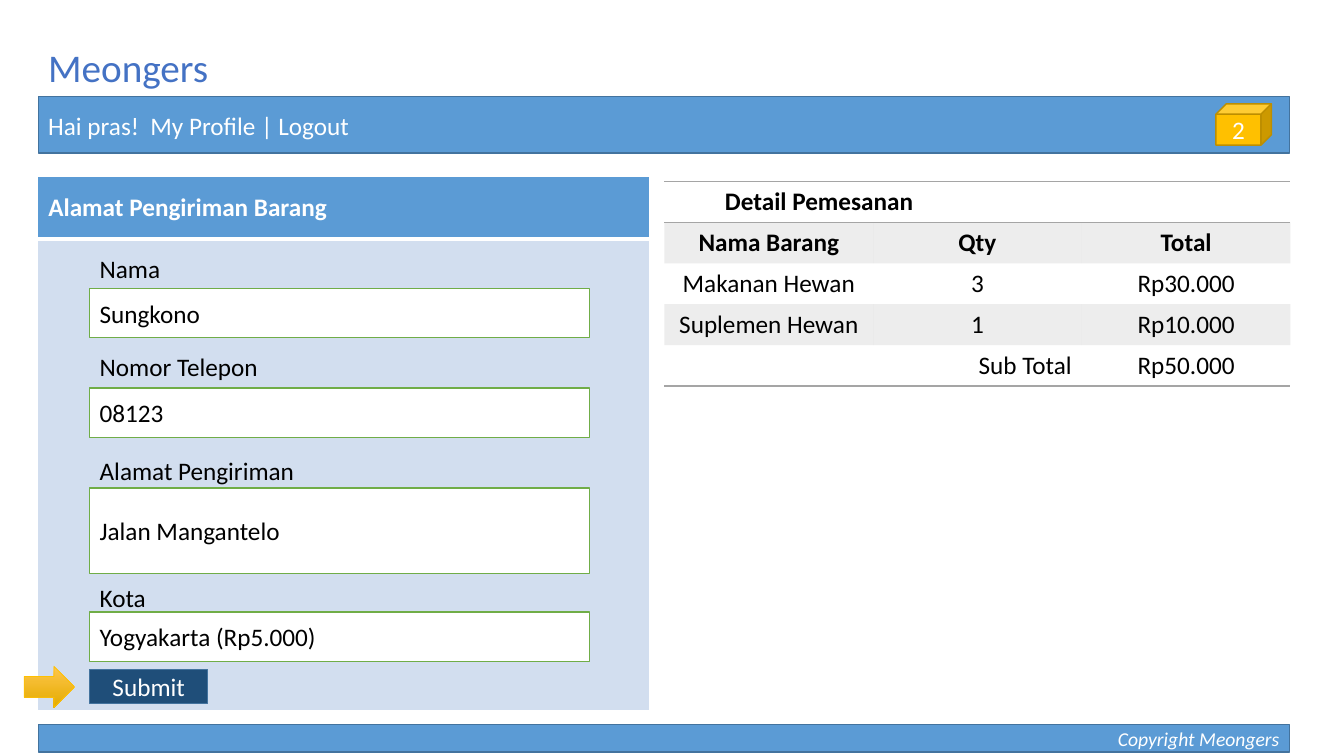
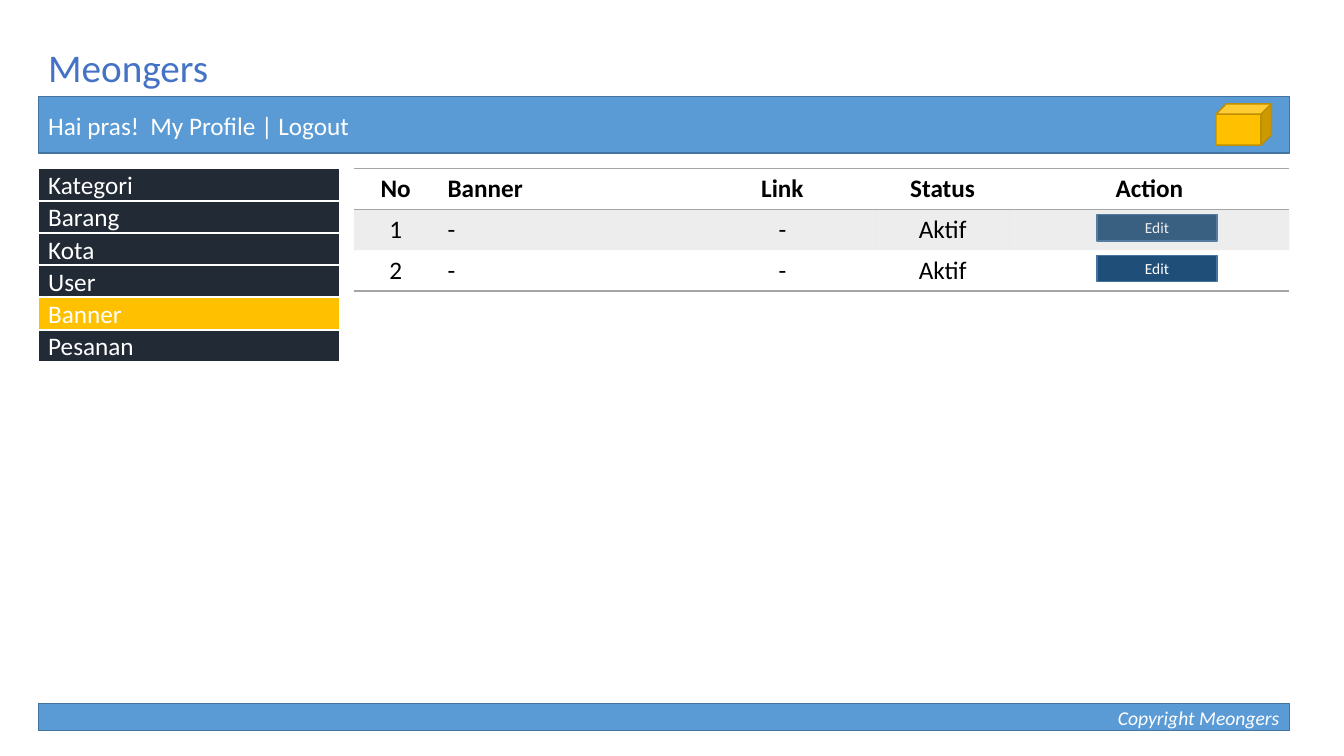
from pptx import Presentation
from pptx.dml.color import RGBColor
from pptx.enum.shapes import MSO_SHAPE
from pptx.enum.text import MSO_ANCHOR, MSO_AUTO_SIZE, PP_ALIGN
from pptx.oxml.ns import qn
from pptx.util import Inches, Pt
from lxml import etree

LEFT, CENTER, RIGHT = PP_ALIGN.LEFT, PP_ALIGN.CENTER, PP_ALIGN.RIGHT
MIDDLE = MSO_ANCHOR.MIDDLE
GROW = MSO_AUTO_SIZE.SHAPE_TO_FIT_TEXT
RECTANGLE, CUBE, ARROW = MSO_SHAPE.RECTANGLE, MSO_SHAPE.CUBE, MSO_SHAPE.RIGHT_ARROW

COLORS = {
    "title": "4472C4", "band": "5B9BD5", "band_line": "43739E",
    "panel": "D2DEEF", "button": "1F4E79", "menu": "222A35",
    "gold": "FFC000", "gold_line": "BD8E00", "gold_light": "FFC64B",
    "gold_dark": "E3AB00", "field_line": "70AD47", "grey": "A5A5A5",
    "white": "FFFFFF", "black": "000000",
}
FONT = "Calibri"
NO_TABLE_STYLE = "{2D5ABB26-0587-4C30-8999-92F81FD0307C}"

SLIDE_WIDTH, SLIDE_HEIGHT = 13.33, 7.5
MARGIN, BAND_WIDTH = 0.38, 12.41
ROW_HEIGHT = 0.406
FIELD_LEFT, FIELD_WIDTH = 0.89, 4.96
MENU_TOP, MENU_HEIGHT = 1.67, 0.32

FIELDS = [  # label, value, label top, box top, box height
    ("Nama", "Sungkono", 2.46, 2.86, 0.49),
    ("Nomor Telepon", "08123", 3.44, 3.85, 0.49),
    ("Alamat Pengiriman", "Jalan Mangantelo", 4.47, 4.84, 0.85),
    ("Kota", "Yogyakarta (Rp5.000)", 5.73, 6.07, 0.49),
]
ORDER_ROWS = [
    ["Detail Pemesanan", "", ""],
    ["Nama Barang", "Qty", "Total"],
    ["Makanan Hewan", "3", "Rp30.000"],
    ["Suplemen Hewan", "1", "Rp10.000"],
    ["", "Sub Total", "Rp50.000"],
]
MENU = ["Kategori", "Barang", "Kota", "User", "Banner", "Pesanan"]
BANNER_ROWS = [
    ["No", "Banner", "Link", "Status", "Action"],
    ["1", "-", "-", "Aktif", ""],
    ["2", "-", "-", "Aktif", ""],
]


def color(name):
    return RGBColor.from_string(COLORS[name])


def box(left, top, width, height):
    return [Inches(length) for length in (left, top, width, height)]


def write(text_frame, text, size=18, ink="black", align=LEFT, bold=False, italic=False):
    paragraph = text_frame.paragraphs[0]
    paragraph.text = text
    paragraph.alignment = align
    font = paragraph.font
    font.name, font.size, font.bold, font.italic = FONT, Pt(size), bold, italic
    font.color.rgb = color(ink)
    return paragraph


def add_box(slide, place, fill, line, text="", line_width=1, kind=RECTANGLE, **style):
    shape = slide.shapes.add_shape(kind, *box(*place))
    shape.shadow.inherit = False
    shape.fill.solid()
    shape.fill.fore_color.rgb = color(fill)
    shape.line.color.rgb = color(line)
    shape.line.width = Pt(line_width)
    shape.text_frame.vertical_anchor = MIDDLE
    if text:
        write(shape.text_frame, text, **{"ink": "white", **style})
    return shape


def add_label(slide, place, text, wrap=True, **style):
    text_frame = slide.shapes.add_textbox(*box(*place)).text_frame
    text_frame.word_wrap = wrap
    text_frame.auto_size = GROW
    write(text_frame, text, **style)


def add_button(slide, place, text, size):
    add_box(slide, place, "button", "band_line", text, size=size, align=CENTER)


def add_plain_table(slide, left, top, columns, rows):
    """Add a table without style; columns and rows are lists of lengths."""
    place = box(left, top, sum(columns), sum(rows))
    table = slide.shapes.add_table(len(rows), len(columns), *place).table
    table.first_row = table.horz_banding = False
    table._tbl.tblPr.find(qn("a:tableStyleId")).text = NO_TABLE_STYLE
    for column, width in zip(table.columns, columns):
        column.width = Inches(width)
    for row, height in zip(table.rows, rows):
        row.height = Inches(height)
    return table


def add_border(cell, side, name, width):
    """Draw one side of a cell (lnT or lnB); call before filling the cell."""
    line = etree.SubElement(cell._tc.get_or_add_tcPr(), qn(f"a:{side}"), w=str(Pt(width)))
    fill = etree.SubElement(line, qn("a:solidFill"))
    etree.SubElement(fill, qn("a:srgbClr"), val=COLORS[name])


def fill_cell(cell, name, opacity=100):
    cell.fill.solid()
    cell.fill.fore_color.rgb = color(name)
    if opacity < 100:
        srgb = cell._tc.tcPr.find(f".//{qn('a:srgbClr')}")
        etree.SubElement(srgb, qn("a:alpha"), val=str(opacity * 1000))


def add_list_table(slide, left, top, columns, rows, header_rows, left_columns=()):
    """Add a ruled table in which every second row is shaded."""
    table = add_plain_table(slide, left, top, columns, [ROW_HEIGHT] * len(rows))
    for i, row in enumerate(rows):
        for j, text in enumerate(row):
            cell = table.cell(i, j)
            if i == 0:
                add_border(cell, "lnT", "grey", 1)
            if i in (0, len(rows) - 1):
                add_border(cell, "lnB", "grey", 1)
            if i % 2:
                fill_cell(cell, "grey", 20)
            else:
                cell.fill.background()
            align = LEFT if j in left_columns else CENTER
            write(cell.text_frame, text, align=align, bold=i < header_rows)
    return table


def add_frame(slide, footer_top, cart_count=""):
    """Add what every page shares: title, top band, cart and footer."""
    add_box(slide, (MARGIN, 0.96, BAND_WIDTH, 0.56), "band", "band_line",
            "Hai pras!  My Profile | Logout")
    add_label(slide, (MARGIN, 0.38, 1.81, 0.57), "Meongers", wrap=False,
              size=28, ink="title")
    add_box(slide, (12.06, 1.03, 0.55, 0.41), "gold", "gold_line", cart_count,
            kind=CUBE, align=CENTER)
    add_box(slide, (MARGIN, footer_top, BAND_WIDTH, 0.27), "band", "band_line",
            "Copyright Meongers", size=14, align=RIGHT, italic=True)


def add_address_panel(slide):
    table = add_plain_table(slide, MARGIN, 1.76, [6.06], [0.61, 4.67])
    header, body = table.cell(0, 0), table.cell(1, 0)
    add_border(header, "lnB", "white", 3)
    add_border(body, "lnT", "white", 3)
    fill_cell(header, "band")
    fill_cell(body, "panel")
    header.vertical_anchor = MIDDLE
    write(header.text_frame, "Alamat Pengiriman Barang", ink="white", bold=True)


def add_pointer(slide):
    arrow = add_box(slide, (0.24, 6.61, 0.5, 0.41), "gold", "gold",
                    line_width=0.5, kind=ARROW)
    arrow.fill.gradient()
    arrow.fill.gradient_angle = 270
    for stop, name in zip(arrow.fill.gradient_stops, ("gold_light", "gold_dark")):
        stop.color.rgb = color(name)


def add_order_table(slide):
    table = add_list_table(slide, 6.59, 1.8, [2.07] * 3, ORDER_ROWS, header_rows=2)
    table.cell(0, 0).merge(table.cell(0, 2))
    heading = table.cell(0, 0).text_frame.paragraphs[0]
    heading.alignment = LEFT
    heading._p.get_or_add_pPr().set("marL", str(Inches(0.5)))
    table.cell(4, 1).text_frame.paragraphs[0].alignment = RIGHT


def build_checkout(slide):
    add_frame(slide, 7.19, cart_count="2")
    add_address_panel(slide)
    for label, value, label_top, top, height in FIELDS:
        add_box(slide, (FIELD_LEFT, top, FIELD_WIDTH, height), "white", "field_line",
                value, ink="black")
        add_label(slide, (FIELD_LEFT, label_top, 3.15, 0.4), label)
    add_order_table(slide)
    add_button(slide, (FIELD_LEFT, 6.64, 1.17, 0.34), "Submit", 18)
    add_pointer(slide)


def build_banner_admin(slide):
    add_frame(slide, 6.98)
    for i, item in enumerate(MENU):
        place = (MARGIN, MENU_TOP + i * MENU_HEIGHT, 2.99, MENU_HEIGHT)
        add_box(slide, place, "gold" if item == "Banner" else "menu", "white", item,
                line_width=1.5)
    for i in range(len(BANNER_ROWS) - 1):
        add_button(slide, (10.88, 2.13 + i * ROW_HEIGHT, 1.19, 0.26), "Edit", 11)
    add_list_table(slide, 3.51, MENU_TOP, [0.83, 2.49, 1.86, 1.32, 2.78], BANNER_ROWS,
                   header_rows=1, left_columns=(1,))


def main():
    presentation = Presentation()
    presentation.slide_width = Inches(SLIDE_WIDTH)
    presentation.slide_height = Inches(SLIDE_HEIGHT)
    blank = presentation.slide_layouts[6]
    for build in (build_checkout, build_banner_admin):
        build(presentation.slides.add_slide(blank))
    presentation.save("out.pptx")


if __name__ == "__main__":
    main()
